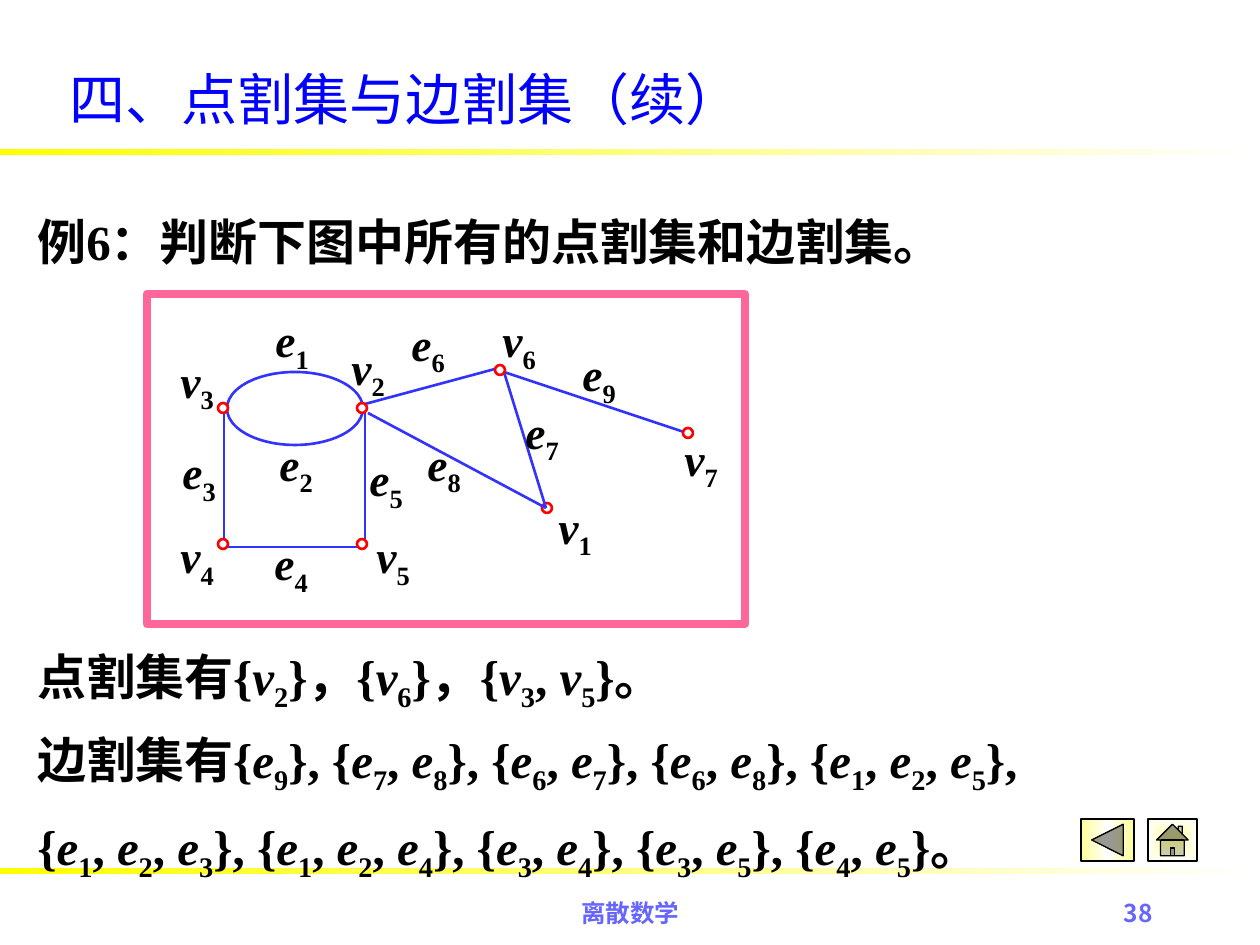
from itertools import groupby
from lxml import etree
from pptx import Presentation, util as u
from pptx.dml.color import RGBColor
from pptx.enum import shapes, text
from pptx.oxml.ns import qn

W, H, SCALE = 1260, 945, 914400 / 126
LATIN, CJK = "Times New Roman", "Noto Sans CJK SC"
COLORS = {"title": "0000FF", "ink": "000000", "footer": "6666FF", "edge": "3333FF",
          "vertex": "FF0000", "frame": "FF6699", "white": "FFFFFF",
          "bar": "FFFF00", "button": "FFFF99"}

# Content
TITLE = "四、点割集与边割集（续）"
BODY = [  # top, height, paragraphs
    (188, 89, ["例6：判断下图中所有的点割集和边割集。"]),
    (620, 100, ["点割集有{v2}，{v6}，{v3, v5}。"]),
    (703, 186, ["边割集有{e9}, {e7, e8}, {e6, e7}, {e6, e8}, {e1, e2, e5},",
                "{e1, e2, e3}, {e1, e2, e4}, {e3, e4}, {e3, e5}, {e4, e5}。"]),
]
FOOTERS = [("离散数学", 431, 399, text.PP_ALIGN.CENTER, LATIN),
           ("38", 903, 262, text.PP_ALIGN.RIGHT, CJK)]

# Graph: top-left corners of vertices, ends of edges, top-left corners of labels
BACK_VERTICES = [(542, 503)]
VERTICES = [(357, 403), (218, 403), (218, 539), (357, 539), (495, 365), (683, 428)]
EDGES = [(224, 407, 224, 541), (227, 547, 360, 547), (365, 413, 365, 547),
         (365, 404, 495, 369), (546, 508, 504, 372), (368, 413, 546, 508),
         (504, 372, 693, 435)]
LABELS = {"v1": (546, 493), "v2": (339, 334), "v3": (168, 347), "v4": (168, 522),
          "v5": (364, 522), "v6": (490, 306), "v7": (672, 425),
          "e1": (263, 306), "e2": (267, 430), "e3": (170, 438), "e4": (262, 529),
          "e5": (357, 445), "e6": (399, 310), "e7": (513, 398), "e8": (415, 430),
          "e9": (570, 340)}


def px(n):
    return u.Emu(round(n * SCALE))


def rgb(name):
    return RGBColor.from_string(COLORS[name])


def add_shape(s, kind, box, fill=None, line=None, width=1.5):
    sp = s.shapes.add_shape(kind, *map(px, box))
    sp.shadow.inherit = False
    if fill:
        sp.fill.solid()
        sp.fill.fore_color.rgb = rgb(fill)
    else:
        sp.fill.background()
    if line:
        sp.line.color.rgb = rgb(line)
        sp.line.width = u.Pt(width)
    else:
        sp.line.fill.background()
    return sp


def set_gradient(sp, stops, centred=False):
    grad = etree.Element(qn("a:gradFill"), rotWithShape="1")
    stop_list = etree.SubElement(grad, qn("a:gsLst"))
    for pos, name in stops:
        stop = etree.SubElement(stop_list, qn("a:gs"), pos=str(pos * 1000))
        etree.SubElement(stop, qn("a:srgbClr"), val=COLORS[name])
    if centred:
        shade = etree.SubElement(grad, qn("a:path"), {"path": "rect"})
        etree.SubElement(shade, qn("a:fillToRect"),
                         {side: "50000" for side in "ltrb"})
    else:
        etree.SubElement(grad, qn("a:lin"), ang="0", scaled="0")
    props = sp.element.spPr
    props.replace(props.find(qn("a:noFill")), grad)


def split_math(line):
    """Split into runs of plain text, italic symbols and subscripts."""
    kinds = ["symbol" if c in "ev" else
             "sub" if c.isdigit() and before in ("e", "v") else "plain"
             for before, c in zip(" " + line, line)]
    for kind, pairs in groupby(zip(kinds, line), key=lambda pair: pair[0]):
        yield kind, "".join(c for _, c in pairs)


def add_text(s, box, lines, size, color="ink", bold=True, font=LATIN,
             align=text.PP_ALIGN.LEFT, spacing=None, anchor=text.MSO_ANCHOR.TOP):
    tf = s.shapes.add_textbox(*map(px, box)).text_frame
    tf.word_wrap = True
    tf.vertical_anchor = anchor
    for i, line in enumerate(lines):
        p = tf.add_paragraph() if i else tf.paragraphs[0]
        p.alignment = align
        p.line_spacing = spacing
        for kind, part in split_math(line):
            r = p.add_run()
            r.text = part
            f = r.font
            f.size, f.bold, f.italic, f.name = u.Pt(size), bold, kind == "symbol", font
            f.color.rgb = rgb(color)
            props = r._r.get_or_add_rPr()
            etree.SubElement(props, qn("a:ea"), typeface=CJK)
            if kind == "sub":
                props.set("baseline", "-25000")


def add_vertices(s, corners):
    for x, y in corners:
        add_shape(s, shapes.MSO_SHAPE.OVAL, (x, y, 10, 10), "white", "vertex")


def add_edge(s, ends):
    c = s.shapes.add_connector(shapes.MSO_CONNECTOR.STRAIGHT, *map(px, ends))
    c.line.color.rgb = rgb("edge")
    c.line.width = u.Pt(1.5)
    etree.SubElement(c.element.spPr, qn("a:effectLst"))


def main():
    prs = Presentation()
    prs.slide_width, prs.slide_height = px(W), px(H)
    s = prs.slides.add_slide(prs.slide_layouts[6])
    kinds = shapes.MSO_SHAPE

    # Bars and title
    for top in (868, 149):
        bar = add_shape(s, kinds.RECTANGLE, (0, top, W, 6))
        set_gradient(bar, [(0, "bar"), (100, "white")])
    add_text(s, (57, 58, 1071, 81), [TITLE], 32, "title", bold=False,
             anchor=text.MSO_ANCHOR.MIDDLE)

    # Graph
    add_shape(s, kinds.RECTANGLE, (147, 294, 598, 330), "white", "frame", 4.5)
    add_vertices(s, BACK_VERTICES)
    for ends in EDGES:
        add_edge(s, ends)
    add_shape(s, kinds.OVAL, (227, 372, 136, 73), line="edge")
    add_vertices(s, VERTICES)
    for label, corner in LABELS.items():
        add_text(s, (*corner, 70, 76), [label], 26)

    # Question and answers
    for top, height, lines in BODY:
        add_text(s, (25, top, 1235, height), lines, 28, spacing=1.3)

    # Navigation buttons
    back = add_shape(s, kinds.ACTION_BUTTON_BACK_OR_PREVIOUS, (1081, 819, 53, 42),
                     line="ink", width=0.75)
    set_gradient(back, [(0, "button"), (50, "white"), (100, "button")])
    home = add_shape(s, kinds.ACTION_BUTTON_HOME, (1148, 819, 49, 42),
                     line="ink", width=0.75)
    set_gradient(home, [(0, "button"), (100, "white")], centred=True)

    # Footer
    for words, left, width, align, font in FOOTERS:
        add_text(s, (left, 892, width, 63), [words], 14, "footer", font=font, align=align)

    prs.save("out.pptx")


if __name__ == "__main__":
    main()
